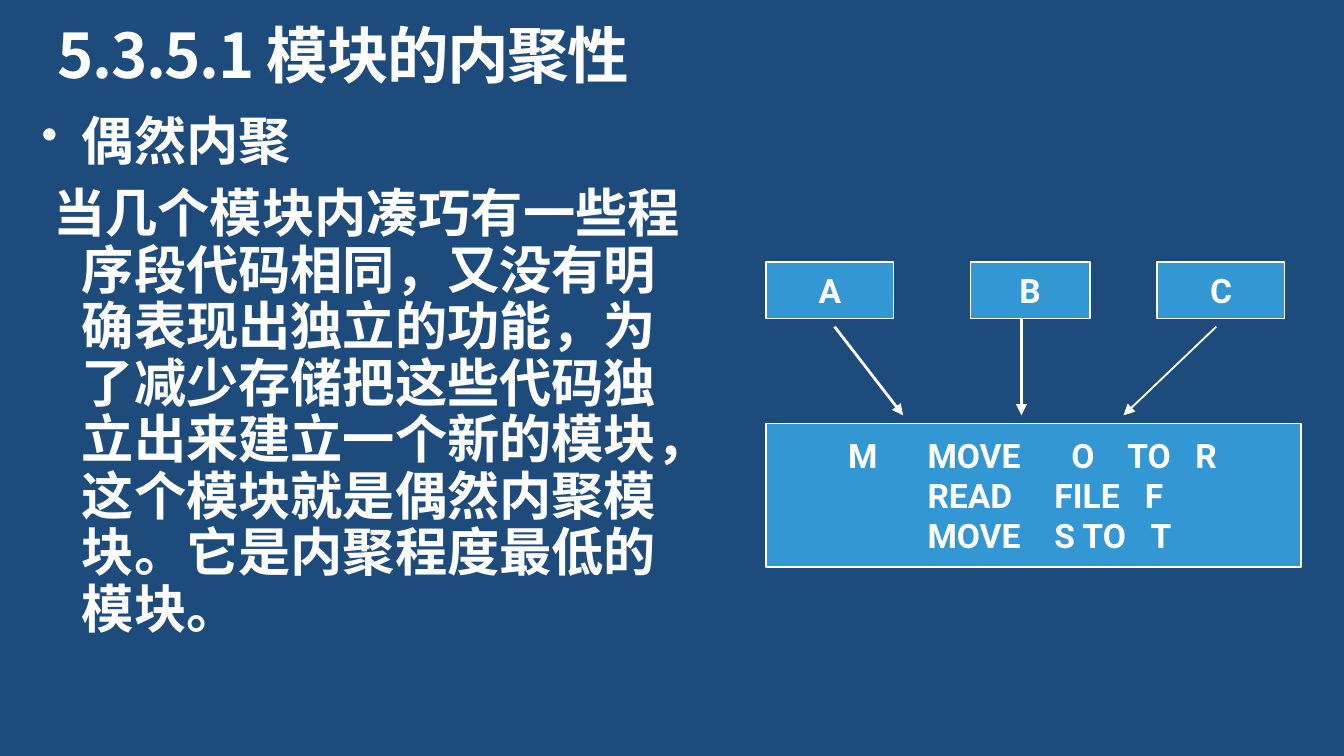
from lxml import etree
from pptx import Presentation
from pptx.dml.color import RGBColor
from pptx.enum import shapes, text
from pptx.oxml.ns import qn
from pptx.util import Pt

WHITE, BLUE, NAVY = "FFFFFF", "3397D3", "1D4C7C"
CJK, LATIN = "Noto Sans CJK SC", "Roboto"


def colour(value):
    return RGBColor.from_string(value)


def add_run(p, content, size, font):
    r = p.add_run()
    r.text = content
    r.font.size, r.font.bold, r.font.name = Pt(size), True, font
    r.font.color.rgb = colour(WHITE)
    etree.SubElement(r._r.get_or_add_rPr(), qn("a:ea"), typeface=font)
    return r


def add_textbox(s, box):
    tf = s.shapes.add_textbox(*map(Pt, box)).text_frame
    tf.word_wrap = True
    tf.margin_left = tf.margin_right = tf.margin_top = tf.margin_bottom = 0
    return tf


def add_title(s, box):
    p = add_textbox(s, box).paragraphs[0]
    p.line_spacing = 0.9
    r = add_run(p, "5.3.5.1 模块的内聚性", 33, CJK)
    r._r.get_or_add_rPr().set("spc", "-80")


def add_body(s, box):
    tf = add_textbox(s, box)
    items = [
        ("偶然内聚", -21.6, True),
        ("当几个模块内凑巧有一些程序段代码相同，又没有明确表现出独立的功能，"
         "为了减少存储把这些代码独立出来建立一个新的模块，"
         "这个模块就是偶然内聚模块。它是内聚程度最低的模块。", -15.3, False),
    ]
    for i, (content, indent, bulleted) in enumerate(items):
        p = tf.add_paragraph() if i else tf.paragraphs[0]
        p.line_spacing = 0.9
        if i:
            p.space_before = Pt(8.4)
        pPr = p._p.get_or_add_pPr()
        pPr.set("marL", str(Pt(21.6)))
        pPr.set("indent", str(Pt(indent)))
        if bulleted:
            etree.SubElement(pPr, qn("a:buSzPct"), val="90000")
            etree.SubElement(pPr, qn("a:buChar"), char="•")
        add_run(p, content, 28, CJK)


def add_block(s, box):
    sp = s.shapes.add_shape(shapes.MSO_SHAPE.RECTANGLE, *map(Pt, box))
    sp.shadow.inherit = False
    sp.fill.solid()
    sp.fill.fore_color.rgb = colour(BLUE)
    sp.line.color.rgb = colour(WHITE)
    sp.line.width = Pt(0.75)
    tf = sp.text_frame
    tf.vertical_anchor = text.MSO_ANCHOR.MIDDLE
    return tf


def add_arrow(s, start, end, width):
    c = s.shapes.add_connector(shapes.MSO_CONNECTOR.STRAIGHT, *map(Pt, start + end))
    c.line.color.rgb = colour(WHITE)
    c.line.width = Pt(width)
    etree.SubElement(c.line._get_or_add_ln(), qn("a:tailEnd"), type="triangle")
    etree.SubElement(c._element.spPr, qn("a:effectLst"))


def add_diagram(s, left, top):
    # Calling modules
    for name, x, width in (("A", 0, 68.4), ("B", 109.4, 64.1), ("C", 209.5, 68.4)):
        p = add_block(s, (left + x, top, width, 30.2)).paragraphs[0]
        p.alignment = text.PP_ALIGN.CENTER
        add_run(p, name, 18, LATIN)

    # Shared module M, its code set in columns
    tf = add_block(s, (left, top + 86.4, 286.6, 77))
    tf.margin_left, tf.margin_right = Pt(44), 0
    rows = [
        ("M\tMOVE\tO\tTO\tR", (42.5, 119.5, 149.5, 186)),
        ("\tREAD\tFILE\tF", (42.5, 110.5, 159)),
        ("\tMOVE\tS TO\tT", (42.5, 110.5, 162)),
    ]
    for i, (code, stops) in enumerate(rows):
        p = tf.add_paragraph() if i else tf.paragraphs[0]
        p.alignment = text.PP_ALIGN.LEFT
        tabs = etree.SubElement(p._p.get_or_add_pPr(), qn("a:tabLst"))
        for stop in stops:
            etree.SubElement(tabs, qn("a:tab"), pos=str(Pt(stop)), algn="l")
        add_run(p, code, 18, LATIN)

    # Calls from A, B and C to M
    tip = top + 82.1
    for x, y, end, width in ((36.7, 34.6, 73.4, 1.5), (136.8, 30.2, 136.8, 1.5),
                             (241.2, 34.6, 191.5, 1)):
        add_arrow(s, (left + x, top + y), (left + end, tip), width)


def main():
    prs = Presentation()
    prs.slide_width, prs.slide_height = Pt(720), Pt(405)
    s = prs.slides.add_slide(prs.slide_layouts[6])
    s.background.fill.solid()
    s.background.fill.fore_color.rgb = colour(NAVY)
    add_title(s, (31, 13.7, 658.8, 36))
    add_body(s, (22.3, 61.9, 354.2, 285.1))
    add_diagram(s, 410.4, 140.4)
    prs.save("out.pptx")


if __name__ == "__main__":
    main()
